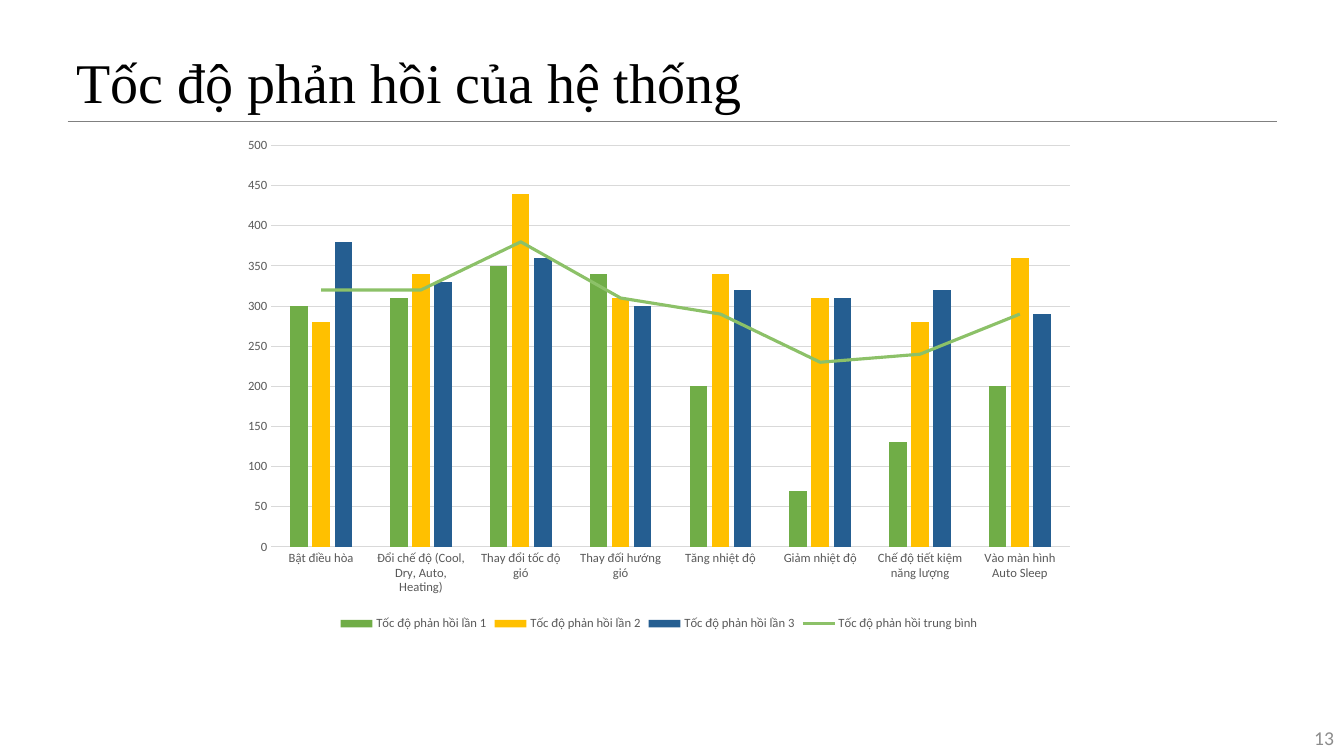
from dataclasses import dataclass

from lxml.etree import SubElement
from pptx import Presentation
from pptx.chart.chart import Chart
from pptx.chart.data import CategoryChartData
from pptx.dml.color import RGBColor
from pptx.enum.chart import XL_CHART_TYPE, XL_LEGEND_POSITION, XL_MARKER_STYLE, XL_TICK_MARK
from pptx.enum.shapes import MSO_CONNECTOR
from pptx.enum.text import MSO_ANCHOR, PP_ALIGN
from pptx.oxml import parse_xml
from pptx.oxml.ns import nsdecls, qn
from pptx.slide import Slide
from pptx.util import Inches, Pt

COLORS = {
    "title": "000000",
    "number": "8C8C8C",
    "rule": "808080",
    "label": "595959",
    "grid": "D9D9D9",
    "first": "70AD47",
    "second": "FFC000",
    "third": "255E91",
    "average": "8CC168",
}

COMMANDS = [
    "Bật điều hòa",
    "Đổi chế độ (Cool, Dry, Auto, Heating)",
    "Thay đổi tốc độ gió",
    "Thay đối hướng gió",
    "Tăng nhiệt độ",
    "Giảm nhiệt độ",
    "Chế độ tiết kiệm năng lượng",
    "Vào màn hình Auto Sleep",
]


@dataclass
class Measurement:
    suffix: str
    color: str
    values: list[int]


MEASUREMENTS = [
    Measurement("lần 1", "first", [300, 310, 350, 340, 200, 70, 130, 200]),
    Measurement("lần 2", "second", [280, 340, 440, 310, 340, 310, 280, 360]),
    Measurement("lần 3", "third", [380, 330, 360, 300, 320, 310, 320, 290]),
    Measurement("trung bình", "average", [320, 320, 380, 310, 290, 230, 240, 290]),
]


@dataclass
class Caption:
    text: str
    box: tuple[float, float, float, float]
    font: str
    size: float
    color: str
    anchor: MSO_ANCHOR
    align: PP_ALIGN
    line_spacing: float = 1.0


CAPTIONS = [
    Caption("13", (10.33, 7.12, 3, 0.4), "Calibri", 14, "number",
            MSO_ANCHOR.MIDDLE, PP_ALIGN.RIGHT),
    Caption("Tốc độ phản hồi của hệ thống", (0.66, 0.21, 12, 0.99), "Times New Roman", 40,
            "title", MSO_ANCHOR.BOTTOM, PP_ALIGN.LEFT, 0.9),
]


def rgb(name: str) -> RGBColor:
    return RGBColor.from_string(COLORS[name])


def style_font(font, name: str, size: float, color: str) -> None:
    font.name = name
    font.size = Pt(size)
    font.color.rgb = rgb(color)


def style_line(line, color: str, width: float) -> None:
    line.color.rgb = rgb(color)
    line.width = Pt(width)


def add_caption(slide: Slide, caption: Caption) -> None:
    frame = slide.shapes.add_textbox(*map(Inches, caption.box)).text_frame
    frame.word_wrap = True
    frame.vertical_anchor = caption.anchor
    paragraph = frame.paragraphs[0]
    paragraph.alignment = caption.align
    paragraph.line_spacing = caption.line_spacing
    run = paragraph.add_run()
    run.text = caption.text
    style_font(run.font, caption.font, caption.size, caption.color)


def add_title_rule(slide: Slide) -> None:
    rule = slide.shapes.add_connector(
        MSO_CONNECTOR.STRAIGHT, Inches(0.67), Inches(1.2), Inches(12.67), Inches(1.2))
    style_line(rule.line, "rule", 0.5)
    SubElement(rule.element.spPr, qn("a:effectLst"))


def turn_average_into_line(chart: Chart) -> None:
    bars = next(chart.element.iter(qn("c:barChart")))
    average = bars.findall(qn("c:ser"))[-1]
    for flag in average.findall(qn("c:invertIfNegative")):
        average.remove(flag)
    line_plot = parse_xml(
        f'<c:lineChart {nsdecls("c")}><c:grouping val="standard"/>'
        '<c:varyColors val="0"/></c:lineChart>')
    line_plot.append(average)
    SubElement(line_plot, qn("c:marker")).set("val", "1")
    for axis in bars.findall(qn("c:axId")):
        SubElement(line_plot, qn("c:axId")).set("val", axis.get("val"))
    bars.addnext(line_plot)


def style_axes(chart: Chart) -> None:
    commands, speeds = chart.category_axis, chart.value_axis
    for axis in (commands, speeds):
        axis.major_tick_mark = XL_TICK_MARK.NONE
        axis.minor_tick_mark = XL_TICK_MARK.NONE
        style_font(axis.tick_labels.font, "Calibri", 9, "label")
    style_line(commands.format.line, "grid", 0.75)
    speeds.format.line.fill.background()
    speeds.minimum_scale = 0
    speeds.maximum_scale = 500
    speeds.major_unit = 50
    speeds.has_major_gridlines = True
    style_line(speeds.major_gridlines.format.line, "grid", 0.75)


def add_response_chart(slide: Slide) -> None:
    data = CategoryChartData()
    data.categories = COMMANDS
    for measurement in MEASUREMENTS:
        data.add_series(f"Tốc độ phản hồi {measurement.suffix}", measurement.values)
    chart = slide.shapes.add_chart(
        XL_CHART_TYPE.COLUMN_CLUSTERED,
        Inches(2.29), Inches(1.27), Inches(8.49), Inches(5.03), data).chart
    chart.has_title = False
    style_font(chart.font, "Calibri", 10, "title")
    turn_average_into_line(chart)
    bars, trend = chart.plots
    bars.gap_width = 219
    bars.overlap = -27
    bars.vary_by_categories = False
    for series, measurement in zip(bars.series, MEASUREMENTS):
        series.format.fill.solid()
        series.format.fill.fore_color.rgb = rgb(measurement.color)
    average = trend.series[0]
    style_line(average.format.line, MEASUREMENTS[-1].color, 2.25)
    average.marker.style = XL_MARKER_STYLE.NONE
    average.smooth = False
    style_axes(chart)
    chart.has_legend = True
    chart.legend.position = XL_LEGEND_POSITION.BOTTOM
    chart.legend.include_in_layout = False
    style_font(chart.legend.font, "Calibri", 9, "label")


def main() -> None:
    deck = Presentation()
    deck.slide_width = Inches(13.33)
    deck.slide_height = Inches(7.5)
    slide = deck.slides.add_slide(deck.slide_layouts[6])
    for caption in CAPTIONS:
        add_caption(slide, caption)
    add_title_rule(slide)
    add_response_chart(slide)
    deck.save("out.pptx")


if __name__ == "__main__":
    main()
